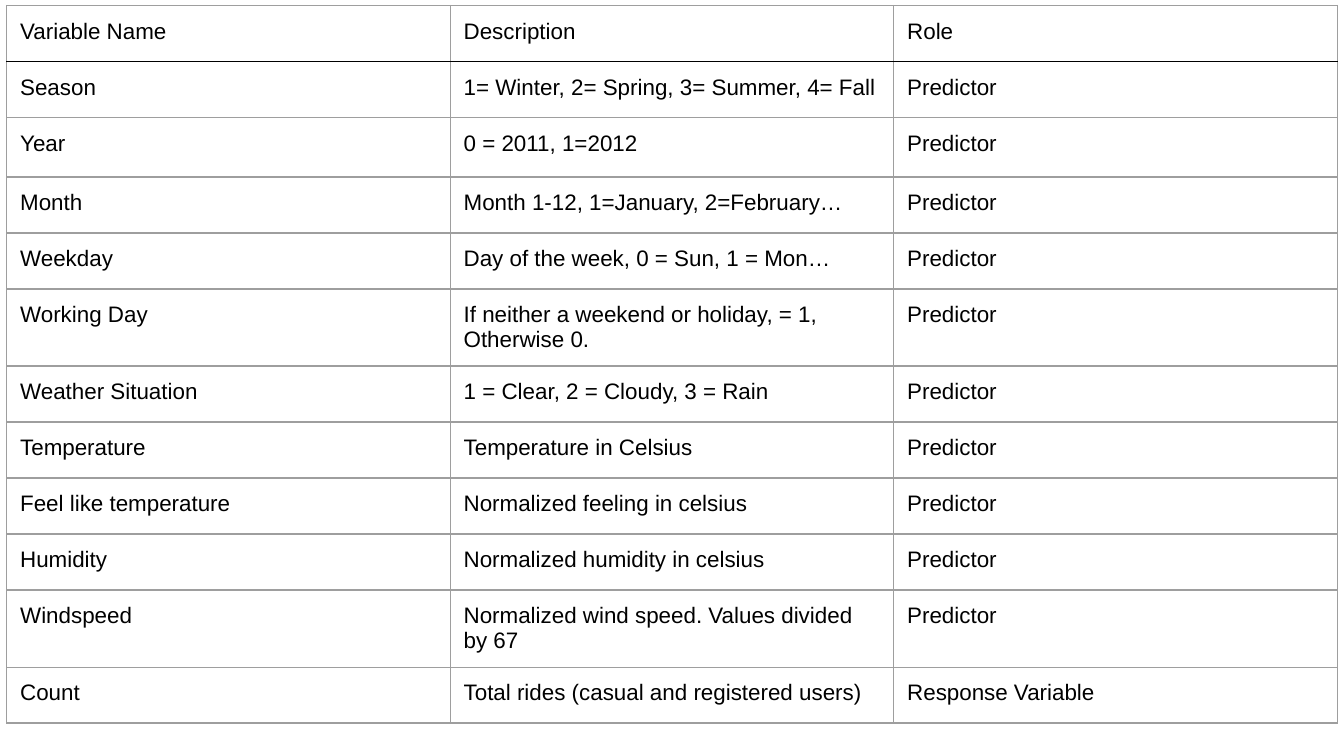
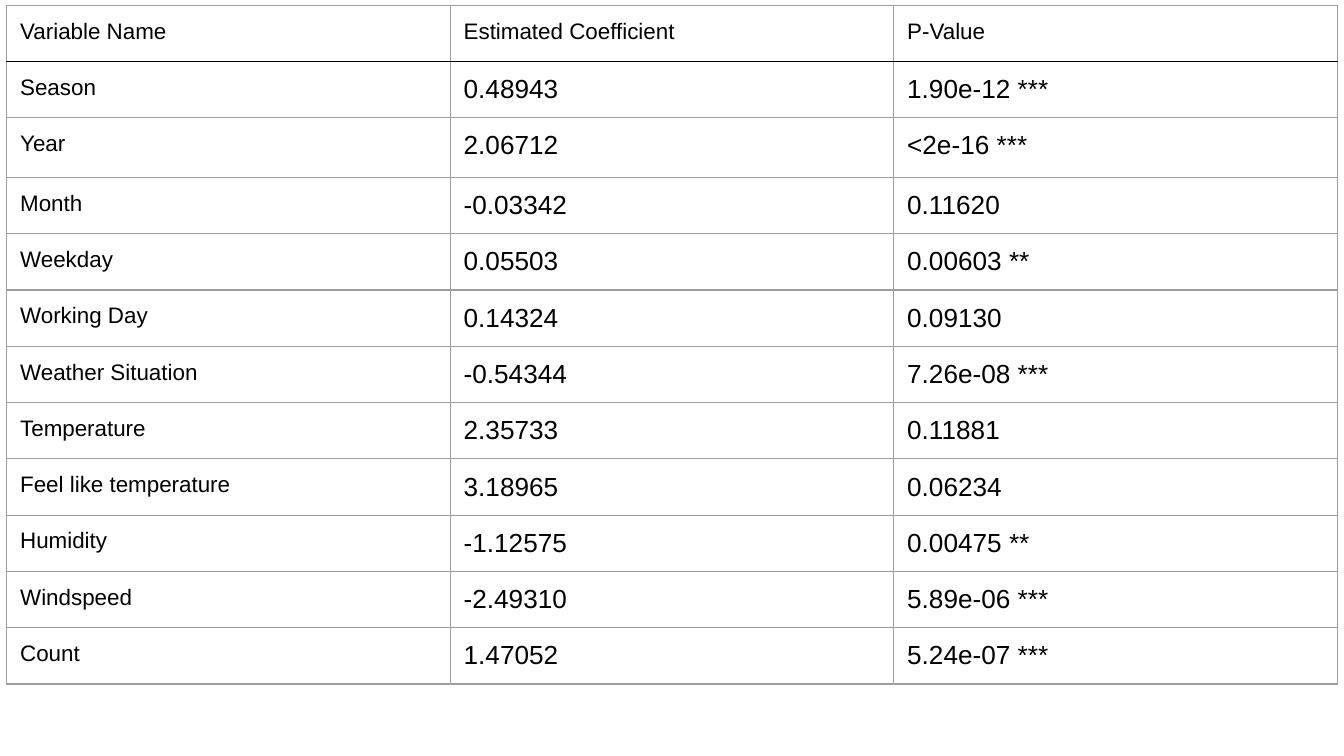
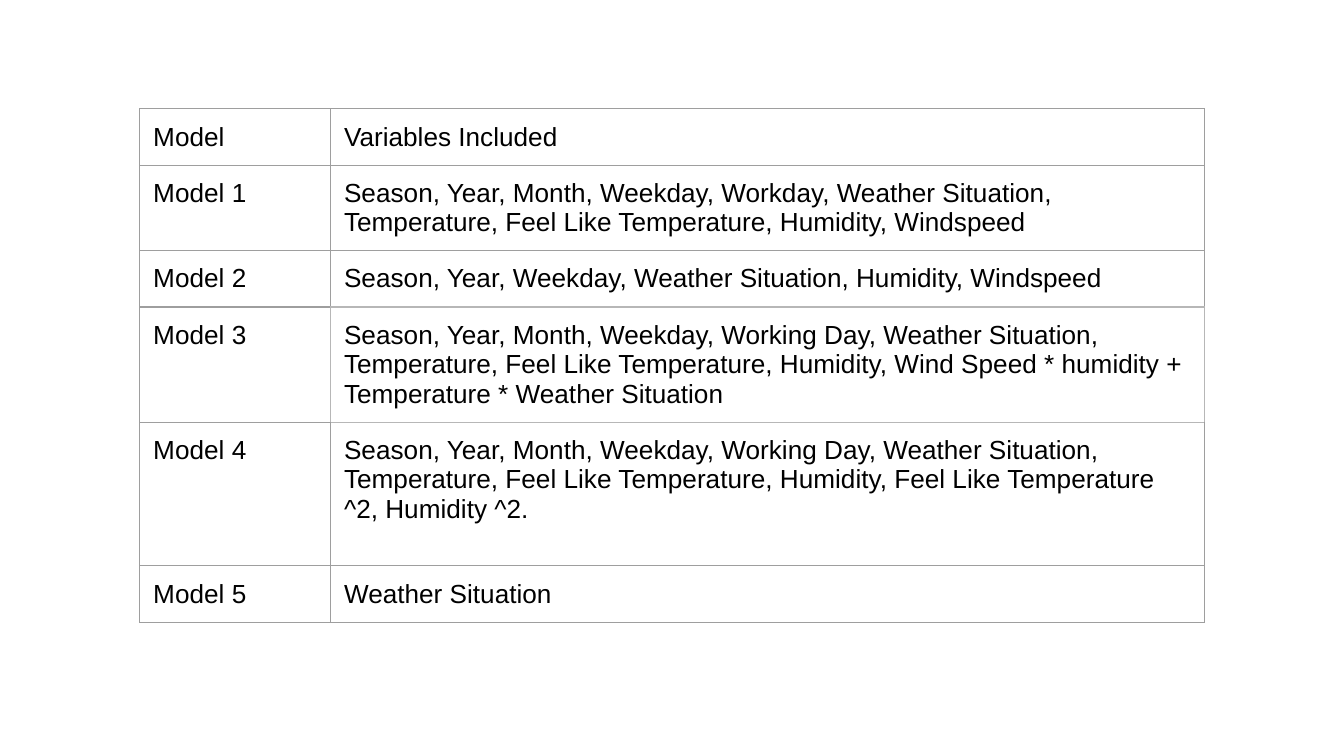
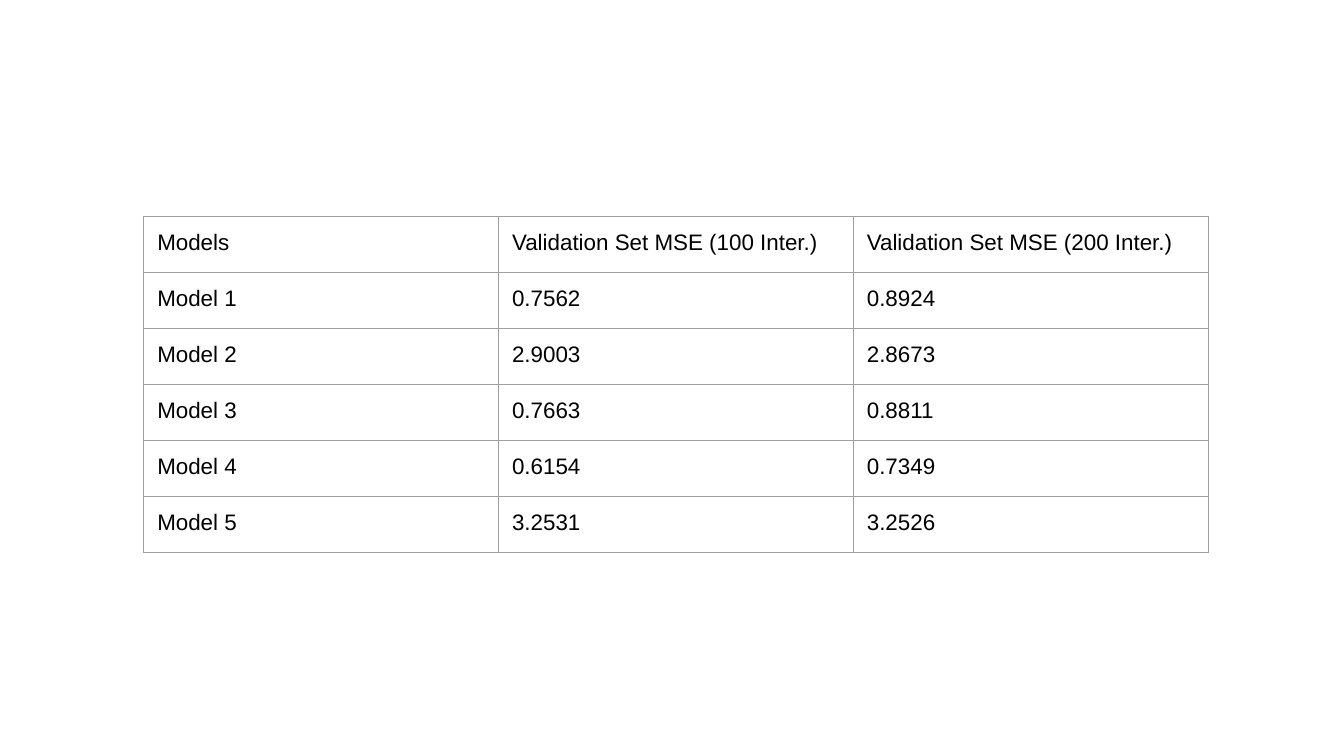
from dataclasses import dataclass

from lxml.etree import SubElement
from pptx import Presentation
from pptx.dml.color import RGBColor as RGB
from pptx.oxml.ns import qn
from pptx.util import Inches, Pt


@dataclass(frozen=True)
class Theme:
    font: str = "Arial"
    ink: str = "000000"
    rule: str = "9E9E9E"
    pale_rule: str = "B7B7B7"
    rule_width: int = Pt(0.75)
    small: int = Pt(12)
    medium: int = Pt(14)
    row: int = Pt(30)
    margin: int = Inches(0.1)


T = Theme()

prs = Presentation()
prs.slide_width = W = Inches(10)
prs.slide_height = W * 9 // 16
blank = prs.slide_layouts[6]


def draw_borders(cell, colours):
    """Draw the four sides; colours maps L, R, T and B to a hex colour."""
    tc_pr = cell._tc.get_or_add_tcPr()
    for side, colour in colours.items():
        ln = SubElement(tc_pr, qn(f"a:ln{side}"), w=str(T.rule_width))
        SubElement(SubElement(ln, qn("a:solidFill")), qn("a:srgbClr"), val=colour)


def add_grid(rows, left, top, col_percents, sizes, heights={}, edges={}):
    """Add a slide with a table: col_percents are shares of the slide width,
    sizes holds header and column type sizes, heights the taller rows,
    edges the sides that differ by (row, column)."""
    s = prs.slides.add_slide(blank)
    widths = [round(W * percent / 100) for percent in col_percents]
    tbl = s.shapes.add_table(len(rows), len(widths), Inches(left), Inches(top),
                             sum(widths), T.row * len(rows)).table
    tbl.first_row = tbl.horz_banding = False
    for c, width in enumerate(widths):
        tbl.columns[c].width = width
    for r, texts in enumerate(rows):
        tbl.rows[r].height = heights.get(r, T.row)
        for c, text in enumerate(texts):
            cell = tbl.cell(r, c)
            for side in ("left", "right", "top", "bottom"):
                setattr(cell, f"margin_{side}", T.margin)
            draw_borders(cell, dict.fromkeys("LRTB", T.rule) | edges.get((r, c), {}))
            cell.fill.background()
            run = cell.text_frame.paragraphs[0].add_run()
            run.text = text
            size = sizes["header"] if r == 0 else sizes["columns"][c]
            for name, value in {"name": T.font, "size": size, "bold": False}.items():
                setattr(run.font, name, value)
            run.font.color.rgb = RGB.from_string(T.ink)


thirds = [33] * 3
all_small = {"header": T.small, "columns": [T.small] * 3}
year_height = {2: Pt(32)}
header_rule = {(r, c): {side: T.ink}
               for r, side in enumerate("BT") for c in range(3)}

# Variables and their roles
variables = [
    ("Season", "1= Winter, 2= Spring, 3= Summer, 4= Fall"),
    ("Year", "0 = 2011, 1=2012"),
    ("Month", "Month 1-12, 1=January, 2=February…"),
    ("Weekday", "Day of the week, 0 = Sun, 1 = Mon…"),
    ("Working Day", "If neither a weekend or holiday, = 1, Otherwise 0."),
    ("Weather Situation", "1 = Clear, 2 = Cloudy, 3 = Rain"),
    ("Temperature", "Temperature in Celsius"),
    ("Feel like temperature", "Normalized feeling in celsius"),
    ("Humidity", "Normalized humidity in celsius"),
    ("Windspeed", "Normalized wind speed. Values divided by 67"),
    ("Count", "Total rides (casual and registered users)"),
]
roles = ["Predictor"] * (len(variables) - 1) + ["Response Variable"]
add_grid([("Variable Name", "Description", "Role")]
         + [(*variable, role) for variable, role in zip(variables, roles)],
         0.05, 0.04, thirds, all_small, year_height, header_rule)

# Estimated coefficients
estimates = [
    ("0.48943", "1.90e-12 ***"),
    ("2.06712", "<2e-16 ***"),
    ("-0.03342", "0.11620"),
    ("0.05503", "0.00603 **"),
    ("0.14324", "0.09130"),
    ("-0.54344", "7.26e-08 ***"),
    ("2.35733", "0.11881"),
    ("3.18965", "0.06234"),
    ("-1.12575", "0.00475 **"),
    ("-2.49310", "5.89e-06 ***"),
    ("1.47052", "5.24e-07 ***"),
]
add_grid([("Variable Name", "Estimated Coefficient", "P-Value")]
         + [(name, *estimate) for (name, _), estimate in zip(variables, estimates)],
         0.05, 0.04, thirds,
         {"header": T.small, "columns": [T.small, T.medium, T.medium]},
         year_height, header_rule)

# Variables in each model
models = [f"Model {n}" for n in range(1, 6)]
included = [
    "Season, Year, Month, Weekday, Workday, Weather Situation, Temperature, "
    "Feel Like Temperature, Humidity, Windspeed",
    "Season, Year, Weekday, Weather Situation, Humidity, Windspeed",
    "Season, Year, Month, Weekday, Working Day, Weather Situation, Temperature, "
    "Feel Like Temperature, Humidity, Wind Speed * humidity + "
    "Temperature * Weather Situation",
    "Season, Year, Month, Weekday, Working Day, Weather Situation, Temperature, "
    "Feel Like Temperature, Humidity, Feel Like Temperature ^2, Humidity ^2.",
    "Weather Situation",
]
pale_edges = {cell: dict.fromkeys(sides, T.pale_rule) for cell, sides in
              {(2, 1): "B", (3, 0): "R", (3, 1): "LRTB", (4, 1): "T"}.items()}
add_grid([("Model", "Variables Included"), *zip(models, included)],
         1.04, 0.81, [14.2, 65],
         {"header": T.medium, "columns": [T.medium] * 2},
         {4: Pt(77)}, pale_edges)

# Validation errors
errors_100 = ["0.7562", "2.9003", "0.7663", "0.6154", "3.2531"]
errors_200 = ["0.8924", "2.8673", "0.8811", "0.7349", "3.2526"]
add_grid([("Models", "Validation Set MSE (100 Inter.)", "Validation Set MSE (200 Inter.)"),
          *zip(models, errors_100, errors_200)],
         1.07, 1.61, [26.4] * 3, all_small)

prs.save("out.pptx")
